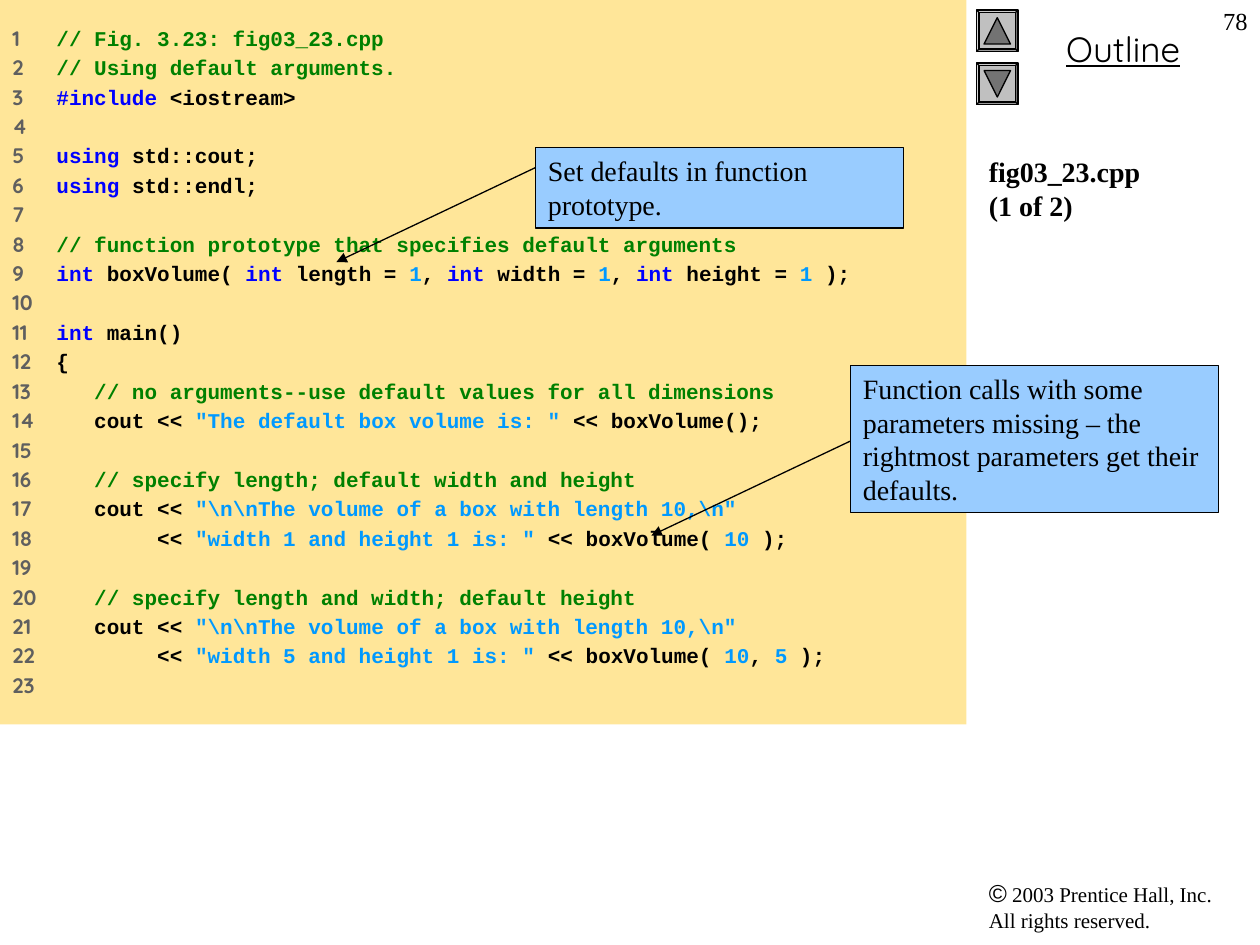
from pptx import Presentation
from pptx.dml.color import RGBColor
from pptx.enum.shapes import MSO_CONNECTOR, MSO_SHAPE
from pptx.enum.text import MSO_ANCHOR, PP_ALIGN
from pptx.oxml.ns import qn
from pptx.util import Inches, Pt
from lxml.etree import SubElement

WIDE, HIGH = 10, 7.5
SIDE = WIDE * 0.775
SERIF, ROUND, MONO = "Times New Roman", "Quicksand", "Courier New"
BLACK, NUM, NOTE, KEY, VAL = "000000", "5F5F5F", "008000", "0000FF", "0099FF"

VOLUME = [(BLACK, "   cout << "),
          (VAL, r'"\n\nThe volume of a box with length 10,\n"')]
CODE = [
    [(NOTE, "// Fig. 3.23: fig03_23.cpp")],
    [(NOTE, "// Using default arguments.")],
    [(KEY, "#include"), (BLACK, " <iostream>")],
    [],
    [(KEY, "using"), (BLACK, " std::cout;")],
    [(KEY, "using"), (BLACK, " std::endl;")],
    [],
    [(NOTE, "// function prototype that specifies default arguments")],
    [(KEY, "int"), (BLACK, " boxVolume( "),
     (KEY, "int"), (BLACK, " length = "), (VAL, "1"), (BLACK, ", "),
     (KEY, "int"), (BLACK, " width = "), (VAL, "1"), (BLACK, ", "),
     (KEY, "int"), (BLACK, " height = "), (VAL, "1"), (BLACK, " );")],
    [],
    [(KEY, "int"), (BLACK, " main()")],
    [(BLACK, "{")],
    [(NOTE, "   // no arguments--use default values for all dimensions")],
    [(BLACK, "   cout << "), (VAL, '"The default box volume is: "'),
     (BLACK, " << boxVolume();")],
    [],
    [(NOTE, "   // specify length; default width and height")],
    VOLUME,
    [(BLACK, "        << "), (VAL, '"width 1 and height 1 is: "'),
     (BLACK, " << boxVolume( "), (VAL, "10"), (BLACK, " );")],
    [],
    [(NOTE, "   // specify length and width; default height")],
    VOLUME,
    [(BLACK, "        << "), (VAL, '"width 5 and height 1 is: "'),
     (BLACK, " << boxVolume( "), (VAL, "10"), (BLACK, ", "),
     (VAL, "5"), (BLACK, " );")],
    [],
]
CALLS = [
    ("Set defaults in function prototype.", 4.25, 1.17, 0.64, 1.33),
    ("Function calls with some parameters missing – the rightmost "
     "parameters get their defaults.", 6.75, 2.9, 1.17, 3.5),
]
LABELS = [
    ("Outline", (7.83, 0.17, 2.17, 0.44), 20, ROUND, PP_ALIGN.CENTER),
    ("fig03_23.cpp\v(1 of 2)", (SIDE, 1.18, 2.25, 0.7), 16, SERIF, PP_ALIGN.LEFT),
    ("78", (9.5, 0, 0.5, 0.5), 14, SERIF, PP_ALIGN.RIGHT),
]
BUTTONS = [(0.08, 0), (0.5, 180)]


def ink(font, color, size=None, name=None, bold=None):
    font.color.rgb = RGBColor.from_string(color)
    if size:
        font.size = Pt(size)
    if name:
        font.name = name
    if bold:
        font.bold = True


def block(kind, box, fill, line=None):
    shape = slide.shapes.add_shape(kind, *map(Inches, box))
    shape.shadow.inherit = False
    shape.fill.solid()
    shape.fill.fore_color.rgb = RGBColor.from_string(fill)
    if line:
        shape.line.color.rgb = RGBColor.from_string(line)
        shape.line.width = Pt(0.75)
    else:
        shape.line.fill.background()
    frame = shape.text_frame
    frame.word_wrap = True
    frame.vertical_anchor = MSO_ANCHOR.TOP
    frame.paragraphs[0].alignment = PP_ALIGN.LEFT
    return shape


def label(text, box, size, name, align):
    frame = slide.shapes.add_textbox(*map(Inches, box)).text_frame
    frame.word_wrap = True
    para = frame.paragraphs[0]
    para.text = text
    para.alignment = align
    ink(para.font, BLACK, size, name)
    return para


def arrow(start, end):
    link = slide.shapes.add_connector(
        MSO_CONNECTOR.STRAIGHT, *map(Inches, start + end))
    link.line.color.rgb = RGBColor.from_string(BLACK)
    link.line.width = Pt(0.75)
    SubElement(link.line._get_or_add_ln(), qn("a:tailEnd"), type="triangle")
    SubElement(link._element.spPr, qn("a:effectLst"))


def listing():
    frame = block(MSO_SHAPE.RECTANGLE, (0, 0, 7.67, 5.75), "FFE699").text_frame
    frame.margin_top = frame.margin_bottom = Inches(0.2)
    for num, parts in enumerate(CODE, 1):
        para = frame.paragraphs[0] if num == 1 else frame.add_paragraph()
        para.alignment = PP_ALIGN.LEFT
        if num > 1:
            para.space_before = Pt(2.4)
        tabs = SubElement(para._p.get_or_add_pPr(), qn("a:tabLst"))
        SubElement(tabs, qn("a:tab"), pos=str(Inches(0.35)), algn="l")
        para.font.size = Pt(12)
        para.font.bold = True
        run = para.add_run()
        run.text = f"{num}\t" if parts else str(num)
        ink(run.font, NUM, name=ROUND)
        for color, text in parts:
            run = para.add_run()
            run.text = text
            ink(run.font, color, name=MONO)


deck = Presentation()
deck.slide_width, deck.slide_height = Inches(WIDE), Inches(HIGH)
slide = deck.slides.add_slide(deck.slide_layouts[6])

for top, turn in BUTTONS:
    bevel = block(MSO_SHAPE.BEVEL, (SIDE, top, 0.33, 0.33), "C0C0C0", BLACK)
    bevel.adjustments[0] = 0.06
    mark = block(MSO_SHAPE.ISOSCELES_TRIANGLE,
                 (SIDE + 0.06, top + 0.06, 0.21, 0.21), "737373", BLACK)
    mark.rotation = turn

head, name, page = [label(*row) for row in LABELS]
head.font.underline = True
name.font.bold = True

legal = label("", (SIDE, 6.92, 2.17, 0.54), 12, SERIF, PP_ALIGN.LEFT)
sign = legal.add_run()
sign.text = "©"
ink(sign.font, BLACK, 14, "Arial")
for part in (" 2003 Prentice Hall, Inc.", "All rights reserved."):
    if part[0] != " ":
        legal.add_line_break()
    legal.add_run().text = part

listing()
for text, left, top, tall, tip in CALLS:
    para = block(MSO_SHAPE.RECTANGLE, (left, top, 2.92, tall),
                 "99CCFF", BLACK).text_frame.paragraphs[0]
    para.text = text
    ink(para.font, BLACK, 16, SERIF)
    arrow((left, tip), (left - 1.58, tip + 0.75))

deck.save("out.pptx")
